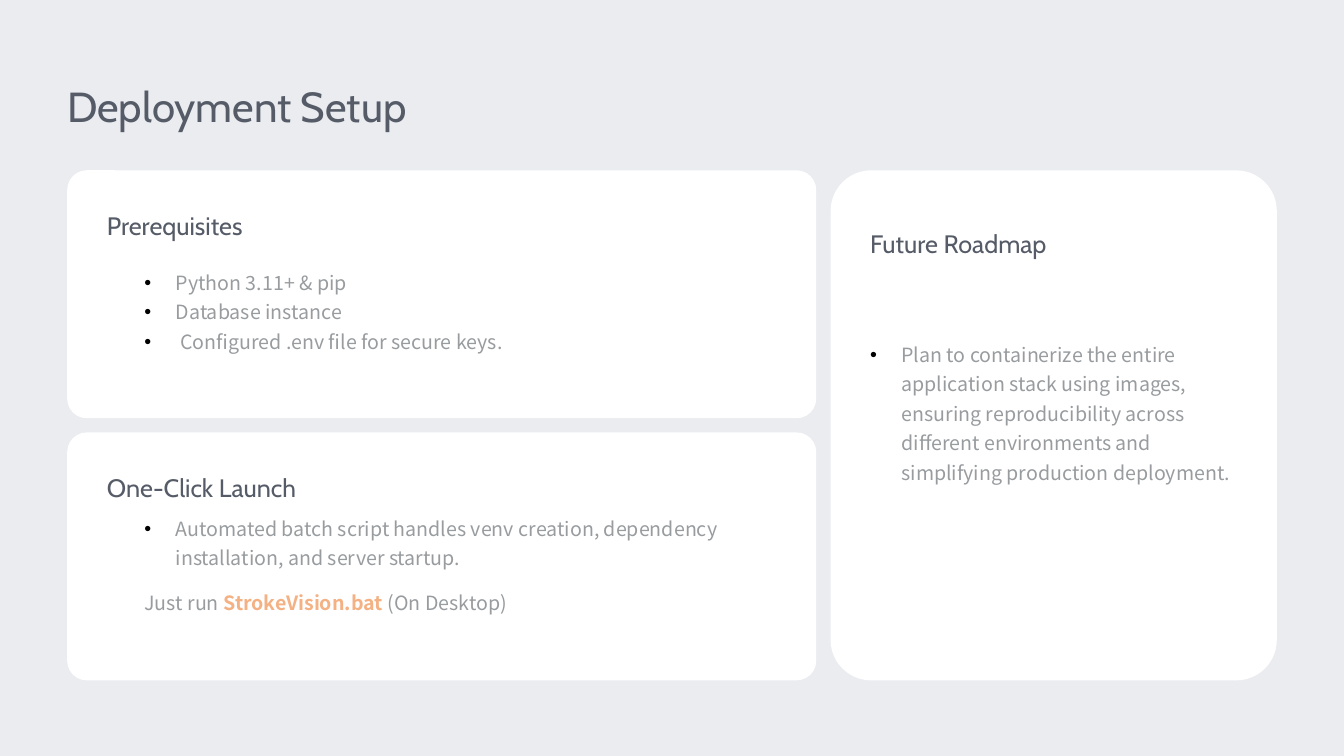
"""Build the Deployment Setup slide: three rounded cards with headings and notes."""
from dataclasses import dataclass
from typing import Any

import pptx
import pptx.dml.color
import pptx.enum.shapes
import pptx.enum.text
import pptx.oxml
import pptx.oxml.ns
import pptx.util

WIDTH, HEIGHT = 13.33, 7.5
LEFT, TOP = 5, 22.53
LEFT_W, RIGHT_W = 55.73, 33.2
GAP_X, GAP_Y = 1.07, 1.87
ROW_H = 32.8
PAD = 2.95
HEAD_H = 6.53
BULLET_INDENT = 0.31


@dataclass(frozen=True)
class Theme:
    back: str = "EAECF0"
    card: str = "FFFFFF"
    heading: str = "555B67"
    body: str = "989C9F"
    accent: str = "F4B183"
    bullet: str = "000000"
    heading_font: str = "Cabin"
    body_font: str = "Noto Sans CJK SC"
    title_size: int = 30
    heading_size: int = 18
    body_size: int = 14
    line_spacing: float = 1.25


THEME = Theme()


@dataclass(frozen=True)
class Box:
    """Position and size in percent of the slide."""
    x: float
    y: float
    w: float
    h: float

    def emu(self) -> list[int]:
        shares = ((self.x, WIDTH), (self.y, HEIGHT), (self.w, WIDTH), (self.h, HEIGHT))
        return [pptx.util.Inches(share * full / 100) for share, full in shares]


@dataclass(frozen=True)
class Card:
    box: Box
    radius: float
    heading: str
    heading_drop: float
    heading_w: float


@dataclass(frozen=True)
class Span:
    text: str
    color: str = THEME.body
    bold: bool = False


@dataclass(frozen=True)
class Note:
    box: Box
    paragraphs: list[list[Span]]
    bulleted: bool = True


HEADING = {"name": THEME.heading_font, "size": pptx.util.Pt(THEME.heading_size)}
TITLE = HEADING | {"size": pptx.util.Pt(THEME.title_size)}
BODY = {"name": THEME.body_font, "size": pptx.util.Pt(THEME.body_size)}

LOWER = TOP + ROW_H + GAP_Y
CARDS = [
    Card(Box(LEFT, TOP, LEFT_W, ROW_H), 0.079, "Prerequisites", 3.47, 47.1),
    Card(Box(LEFT, LOWER, LEFT_W, ROW_H), 0.079, "One-Click Launch", 3.47, 47.1),
    Card(Box(LEFT + LEFT_W + GAP_X, TOP, RIGHT_W, 2 * ROW_H + GAP_Y), 0.091,
         "Future Roadmap", 5.87, 27.23),
]
NOTES = [
    Note(Box(10.75, 31.7, 35.03, 18.4), [
        [Span("Python 3.11+ & pip")],
        [Span("Database instance")],
        [Span(" Configured .env file for secure keys.")],
    ]),
    Note(Box(10.75, 65.4, 47.1, 12.13), [
        [Span("Automated batch script handles venv creation, dependency "
              "installation, and server startup.")],
    ]),
    Note(Box(64.75, 41.5, 27.23, 25.6), [
        [Span("Plan to containerize the entire application stack using images, "
              "ensuring reproducibility across different environments and "
              "simplifying production deployment.")],
    ]),
    Note(Box(10.75, 77, 44.25, 4.67), [
        [Span("Just run "), Span("StrokeVision.bat", THEME.accent, True),
         Span(" (On Desktop)")],
    ], bulleted=False),
]


def rgb(value: str) -> pptx.dml.color.RGBColor:
    return pptx.dml.color.RGBColor.from_string(value)


def apply(target: Any, values: dict[str, Any]) -> None:
    for name, value in values.items():
        setattr(target, name, value)


def add_bullet(p: Any) -> None:
    pPr = p._p.get_or_add_pPr()
    indent = pptx.util.Inches(BULLET_INDENT)
    pPr.set("marL", str(indent))
    pPr.set("indent", str(-indent))
    ns = pptx.oxml.ns.nsdecls("a")
    for xml in (f'<a:buClr {ns}><a:srgbClr val="{THEME.bullet}"/></a:buClr>',
                f'<a:buFont {ns} typeface="Arial"/>',
                f'<a:buChar {ns} char="•"/>'):
        pPr.append(pptx.oxml.parse_xml(xml))


def add_text(s: Any, box: Box, paragraphs: list[list[Span]], font: dict[str, Any],
             inset: float = 0.06, bulleted: bool = False) -> None:
    tf = s.shapes.add_textbox(*box.emu()).text_frame
    apply(tf, {
        "word_wrap": True,
        "auto_size": pptx.enum.text.MSO_AUTO_SIZE.NONE,
        "vertical_anchor": pptx.enum.text.MSO_ANCHOR.MIDDLE,
        "margin_left": 0,
        "margin_right": 0,
        "margin_top": pptx.util.Inches(inset),
        "margin_bottom": pptx.util.Inches(inset),
    })
    for i, spans in enumerate(paragraphs):
        p = tf.add_paragraph() if i else tf.paragraphs[0]
        p.line_spacing = THEME.line_spacing
        if bulleted:
            add_bullet(p)
        for span in spans:
            r = p.add_run()
            r.text = span.text
            apply(r.font, font | {"bold": span.bold})
            r.font.color.rgb = rgb(span.color)


def add_card(s: Any, card: Card) -> None:
    sp = s.shapes.add_shape(pptx.enum.shapes.MSO_SHAPE.ROUNDED_RECTANGLE, *card.box.emu())
    sp.adjustments[0] = card.radius
    sp.shadow.inherit = False
    sp.fill.solid()
    sp.fill.fore_color.rgb = rgb(THEME.card)
    sp.line.fill.background()
    box = Box(card.box.x + PAD, card.box.y + card.heading_drop, card.heading_w, HEAD_H)
    add_text(s, box, [[Span(card.heading, THEME.heading)]], HEADING)


def main() -> None:
    prs = pptx.Presentation()
    apply(prs, {"slide_width": pptx.util.Inches(WIDTH),
                "slide_height": pptx.util.Inches(HEIGHT)})
    s = prs.slides.add_slide(prs.slide_layouts[6])
    s.background.fill.solid()
    s.background.fill.fore_color.rgb = rgb(THEME.back)
    add_text(s, Box(LEFT, 9, 90, 8.27), [[Span("Deployment Setup", THEME.heading)]],
             TITLE, inset=0)
    for card in CARDS:
        add_card(s, card)
    for note in NOTES:
        add_text(s, note.box, note.paragraphs, BODY, bulleted=note.bulleted)
    prs.save("out.pptx")


if __name__ == "__main__":
    main()
